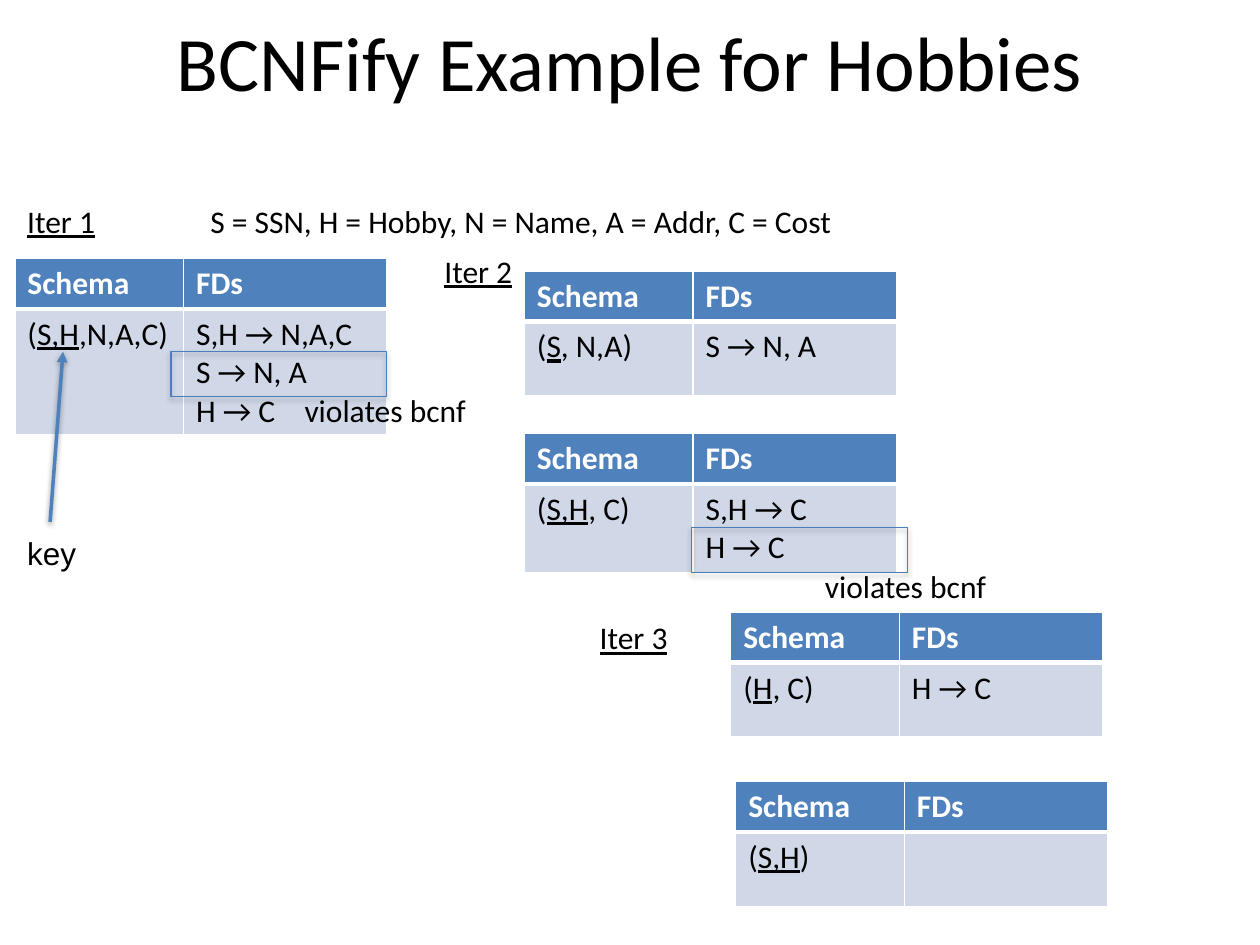
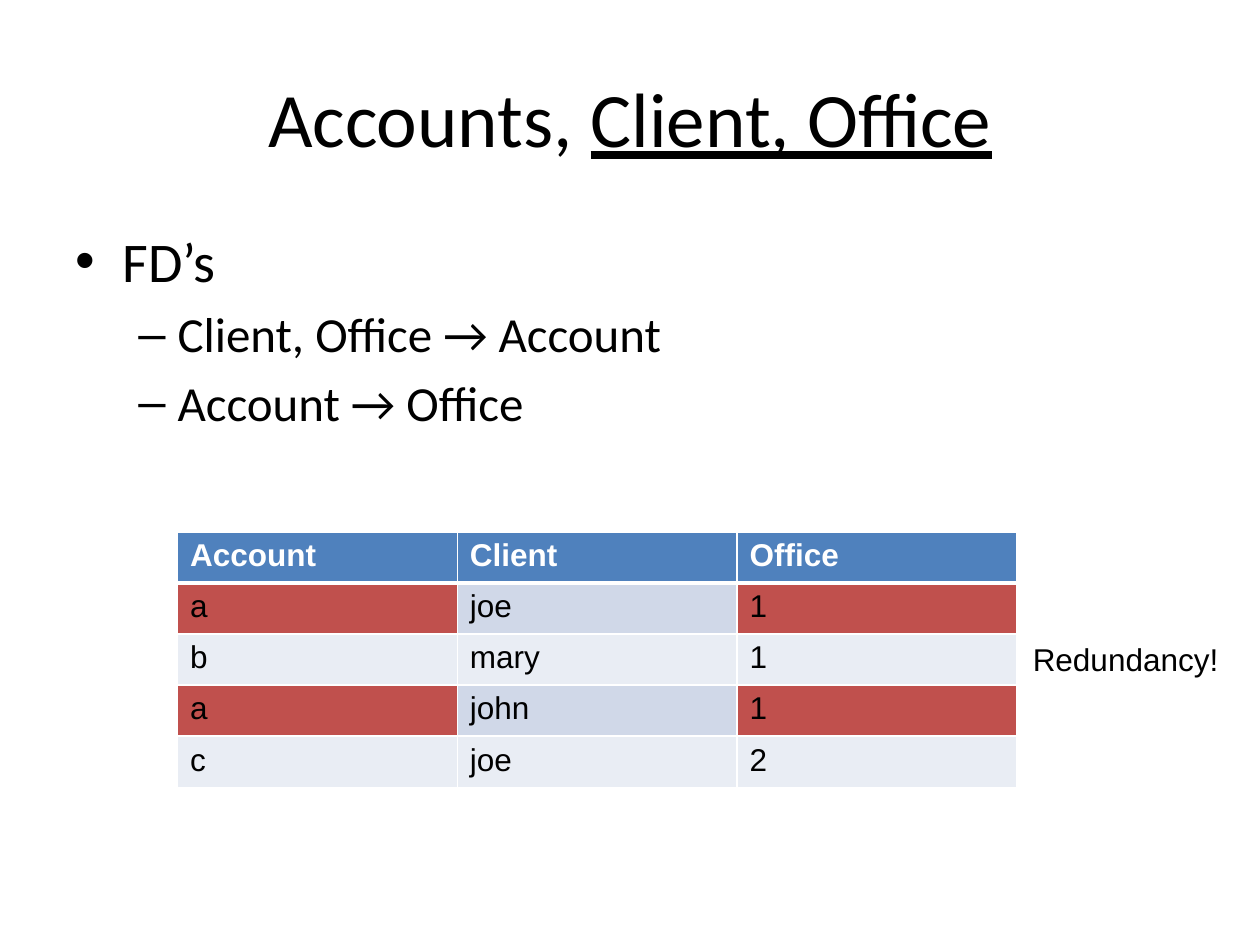
import pptx
import pptx.dml.color
import pptx.enum.shapes
import pptx.enum.text
import pptx.oxml
import pptx.oxml.ns
import pptx.util

Cm, Pt = pptx.util.Cm, pptx.util.Pt
ALIGN = pptx.enum.text.PP_ALIGN
NS = pptx.oxml.ns.nsdecls("a")

BLACK, WHITE = "000000", "FFFFFF"
BLUE, OUTLINE, RED = "4F81BD", "4B7EBC", "C0504D"
BAND, LIGHT_BAND = "D0D8E8", "E9EDF4"
BODY = {"name": "Calibri", "size": Pt(18), "bold": False}
PLAIN = {**BODY, "name": "Arial"}
TITLE = {**BODY, "size": Pt(44)}
LABEL_HEIGHT = 1.02
SCHEMA_COLUMNS = (3.4, 4.1)


def rgb(value):
    return pptx.dml.color.RGBColor.from_string(value)


def apply(target, values):
    for name, value in values.items():
        setattr(target, name, value)


def write(frame, text, style, color=BLACK, **paragraph_format):
    """Write one paragraph per line; parts between underscores are underlined."""
    for number, line in enumerate(text.split("\n")):
        paragraph = frame.add_paragraph() if number else frame.paragraphs[0]
        apply(paragraph, paragraph_format)
        for index, part in enumerate(line.split("_")):
            if part:
                run = paragraph.add_run()
                run.text = part
                apply(run.font, {**style, "underline": index % 2 == 1})
                run.font.color.rgb = rgb(color)


def add_titled_slide(deck, text, top):
    slide = deck.slides.add_slide(deck.slide_layouts[5])
    title = slide.shapes.title
    apply(title, {"left": Cm(1.27), "top": Cm(top),
                  "width": Cm(22.86), "height": Cm(3.18)})
    title.text_frame.vertical_anchor = pptx.enum.text.MSO_ANCHOR.MIDDLE
    write(title.text_frame, text, TITLE, alignment=ALIGN.CENTER)
    return slide


def add_label(shapes, left, top, width, text, style=BODY, wrap=True):
    label = shapes.add_textbox(Cm(left), Cm(top), Cm(width), Cm(LABEL_HEIGHT))
    apply(label.text_frame, {
        "word_wrap": wrap,
        "auto_size": pptx.enum.text.MSO_AUTO_SIZE.SHAPE_TO_FIT_TEXT})
    write(label.text_frame, text, style)


def add_shadow(shape, distance, alpha):
    shape._element.spPr.append(pptx.oxml.parse_xml(
        f'<a:effectLst {NS}><a:outerShdw blurRad="40000" dist="{distance}" '
        f'dir="5400000" rotWithShape="0"><a:srgbClr val="{BLACK}">'
        f'<a:alpha val="{alpha}"/></a:srgbClr></a:outerShdw></a:effectLst>'))


def format_cell(cell, text, style, fill, row):
    """Fill a cell and rule it in white, thick between header and body."""
    widths = {"L": 1, "R": 1, "T": 3 if row == 1 else 1, "B": 1 if row else 3}
    properties = cell._tc.get_or_add_tcPr()
    for side, width in widths.items():
        properties.append(pptx.oxml.parse_xml(
            f'<a:ln{side} {NS} w="{Pt(width)}"><a:solidFill>'
            f'<a:srgbClr val="{WHITE}"/></a:solidFill></a:ln{side}>'))
    cell.fill.solid()
    cell.fill.fore_color.rgb = rgb(fill)
    write(cell.text_frame, text, {**style, "bold": row == 0},
          BLACK if row else WHITE)


def add_grid(slide, left, top, columns, heights, rows, style, fill_of):
    table = slide.shapes.add_table(
        len(rows), len(columns), Cm(left), Cm(top),
        Cm(sum(columns)), Cm(sum(heights))).table
    for column, width in zip(table.columns, columns):
        column.width = Cm(width)
    for row, (texts, height) in enumerate(zip(rows, heights)):
        table.rows[row].height = Cm(height)
        for column, text in enumerate(texts):
            format_cell(table.cell(row, column), text, style,
                        fill_of(row, column), row)


def add_schema(slide, left, top, body_height, schema, dependencies):
    add_grid(slide, left, top, SCHEMA_COLUMNS, (1.02, body_height),
             [("Schema", "FDs"), (schema, dependencies)], BODY,
             lambda row, column: BAND if row else BLUE)


def add_violation(slide, left, top):
    """Frame the dependency that breaks the normal form and label it."""
    group = slide.shapes.add_group_shape().shapes
    frame = group.add_shape(pptx.enum.shapes.MSO_SHAPE.RECTANGLE,
                            Cm(left), Cm(top), Cm(4.35), Cm(0.9))
    frame.fill.background()
    frame.line.color.rgb = rgb(OUTLINE)
    frame.line.width = Pt(0.75)
    add_shadow(frame, 23000, 35000)
    add_label(group, left + 2.44, top + 0.66, 3.84, "violates bcnf", wrap=False)


def add_key_pointer(slide, left, top):
    """Arrow up to the underlined key, with its label below."""
    arrow = slide.shapes.add_connector(
        pptx.enum.shapes.MSO_CONNECTOR.STRAIGHT,
        Cm(left + 0.97), Cm(top), Cm(left + 0.71), Cm(top + 3.43))
    arrow.line.color.rgb = rgb(BLUE)
    arrow.line.width = Pt(2)
    arrow.line._get_or_add_ln().append(
        pptx.oxml.parse_xml(f'<a:headEnd {NS} type="triangle"/>'))
    add_shadow(arrow, 20000, 38000)
    add_label(slide.shapes, left, top + 3.55, 2.29, "key", PLAIN)


def add_bullets(slide, left, top, width, height, items):
    """List (level, text) items, each level with its own mark and indent."""
    levels = [("•", 0.95, 0.95, 32), ("–", 2.06, 0.79, 28)]
    frame = slide.shapes.add_textbox(
        Cm(left), Cm(top), Cm(width), Cm(height)).text_frame
    frame.word_wrap = True
    write(frame, "\n".join(text for _, text in items), BODY)
    for paragraph, (level, _) in zip(frame.paragraphs, items):
        mark, margin, hanging, size = levels[level]
        paragraph.level = level
        paragraph.space_before = Pt(size * 0.2)
        paragraph.runs[0].font.size = Pt(size)
        properties = paragraph._p.get_or_add_pPr()
        properties.set("marL", str(Cm(margin)))
        properties.set("indent", str(-Cm(hanging)))
        for bullet in ('buFont typeface="Arial"', f'buChar char="{mark}"'):
            properties.append(pptx.oxml.parse_xml(f"<a:{bullet} {NS}/>"))


def build_hobbies(deck):
    slide = add_titled_slide(deck, "BCNFify Example for Hobbies", -0.36)
    add_label(slide.shapes, 3.99, 3.94, 13.16,
              "S = SSN, H = Hobby, N = Name, A = Addr, C = Cost", wrap=False)
    for left, top, body_height, schema, dependencies in (
            (0.3, 5.21, 2.54, "(_S,H_,N,A,C)", "S,H → N,A,C\nS → N, A\nH → C"),
            (10.57, 5.46, 1.5, "(_S_, N,A)", "S → N, A"),
            (10.57, 8.74, 1.78, "(_S,H_, C)", "S,H → C\nH → C"),
            (14.73, 12.34, 1.5, "(_H_, C)", "H → C"),
            (14.83, 15.75, 1.5, "(_S,H_)", "")):
        add_schema(slide, left, top, body_height, schema, dependencies)
    for left, top in ((3.45, 7.09), (13.94, 10.64)):
        add_violation(slide, left, top)
    for number, (left, top) in enumerate(
            ((0.3, 3.94), (8.71, 4.95), (11.84, 12.34)), 1):
        add_label(slide.shapes, left, top, 3.15, f"_Iter {number}_")
    add_key_pointer(slide, 0.3, 7.09)


def build_accounts(deck):
    slide = add_titled_slide(deck, "Accounts, _Client, Office_", 0.76)
    add_bullets(slide, 1.27, 4.45, 22.86, 12.57, [
        (0, "FD’s"), (1, "Client, Office → Account"), (1, "Account → Office")])
    rows = [("Account", "Client", "Office"), ("a", "joe", "1"),
            ("b", "mary", "1"), ("a", "john", "1"), ("c", "joe", "2")]

    def fill_of(row, column):
        if row == 0:
            return BLUE
        if rows[row][0] == "a" and column != 1:
            return RED
        return BAND if row % 2 else LIGHT_BAND

    add_grid(slide, 3.58, 10.72, [5.64] * 3, [1.03] * len(rows), rows, PLAIN,
             fill_of)
    add_label(slide.shapes, 20.57, 12.78, 4.8, "Redundancy!", PLAIN)


def main():
    deck = pptx.Presentation()
    apply(deck, {"slide_width": Cm(25.4), "slide_height": Cm(19.05)})
    build_hobbies(deck)
    build_accounts(deck)
    deck.save("out.pptx")


if __name__ == "__main__":
    main()
